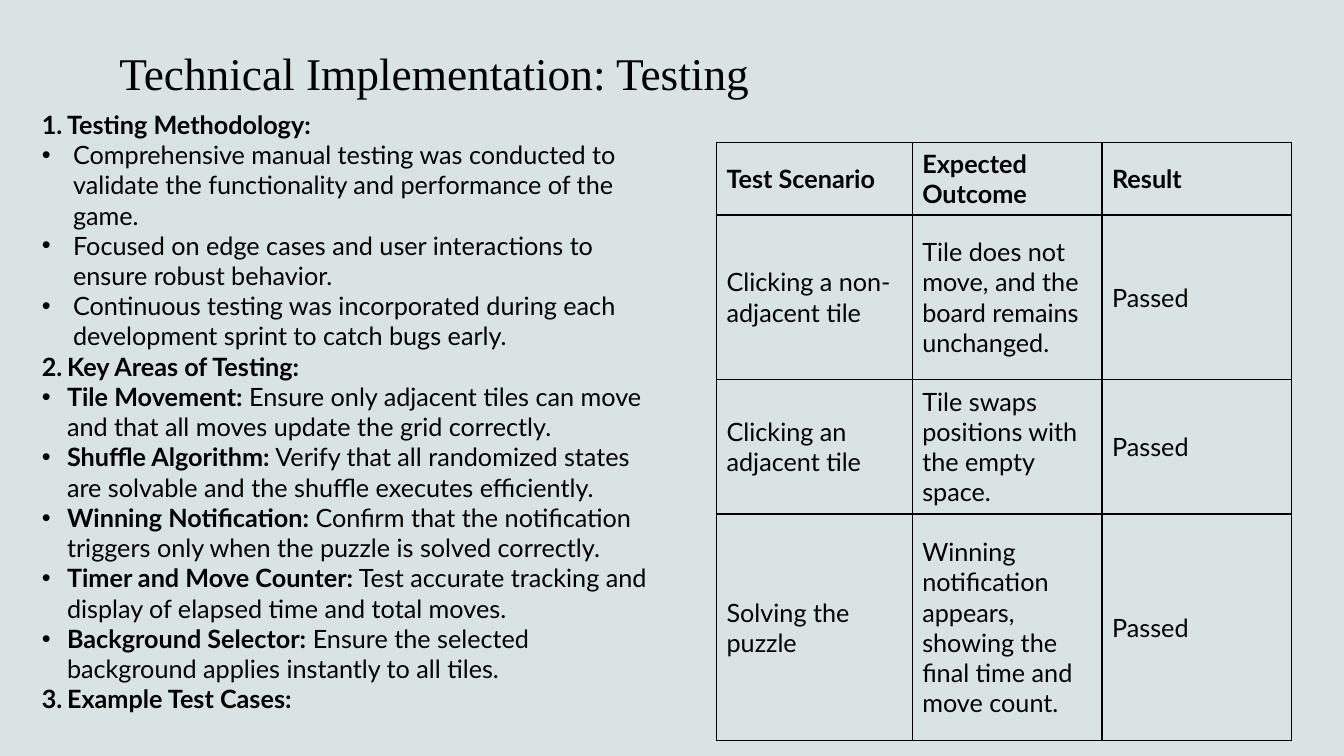
from lxml.etree import SubElement
from pptx import Presentation
from pptx.dml.color import RGBColor
from pptx.enum.text import MSO_ANCHOR as Anchor, MSO_AUTO_SIZE as AutoSize, PP_ALIGN as Align
from pptx.oxml.ns import qn
from pptx.util import Inches, Pt

# Content
TITLE = "Technical Implementation: Testing"
# Each section: heading, bullet indent in inches, (bold lead, plain text) pairs
SECTIONS = [
    ("Testing Methodology:", 0.31, [
        ("", "Comprehensive manual testing was conducted to validate the "
             "functionality and performance of the game."),
        ("", "Focused on edge cases and user interactions to ensure robust behavior."),
        ("", "Continuous testing was incorporated during each development sprint "
             "to catch bugs early."),
    ]),
    ("Key Areas of Testing:", 0.25, [
        ("Tile Movement:", " Ensure only adjacent tiles can move and that all moves "
                           "update the grid correctly."),
        ("Shuffle Algorithm:", " Verify that all randomized states are solvable and "
                               "the shuffle executes efficiently."),
        ("Winning Notification:", " Confirm that the notification triggers only when "
                                  "the puzzle is solved correctly."),
        ("Timer and Move Counter:", " Test accurate tracking and display of elapsed "
                                    "time and total moves."),
        ("Background Selector:", " Ensure the selected background applies instantly "
                                 "to all tiles."),
    ]),
    ("Example Test Cases:", 0.25, []),
]
TEST_CASES = [
    ("Test Scenario", "Expected Outcome", "Result"),
    ("Clicking a non-adjacent tile",
     "Tile does not move, and the board remains unchanged.", "Passed"),
    ("Clicking an adjacent tile",
     "Tile swaps positions with the empty space.", "Passed"),
    ("Solving the puzzle",
     "Winning notification appears, showing the final time and move count.", "Passed"),
]

# Theme
THEME = {
    "background": RGBColor.from_string("DAE3E3"), "ink": RGBColor.from_string("000000"),
    "title_font": "Times New Roman", "body_font": "Lato",
    "title_size": 32.4, "body_size": 18, "border": 1,
}

# Layout on a grid of 16 columns by 9 rows: left, top, width, height
SLIDE_W, SLIDE_H = Inches(13.33), Inches(7.5)
TITLE_BOX = (1.3, -0.23, 13.4, 1.47)
NOTES_BOX = (0.38, 1.24, 7.62, 7.75)
TABLE_AT = (8.53, 1.7)
TABLE_COLS = (2.33, 2.26, 2.26)
TABLE_ROWS = (0.86, 1.96, 1.6, 2.7)
HEADING_INDENT = 0.25


def across(n):
    return int(SLIDE_W * n / 16)


def down(n):
    return int(SLIDE_H * n / 9)


def grid_box(left, top, width, height):
    return across(left), down(top), across(width), down(height)


def add_text(p, text, bold=False, size=THEME["body_size"], font=THEME["body_font"]):
    r = p.add_run()
    r.text = text
    r.font.name, r.font.size, r.font.bold = font, Pt(size), bold
    r.font.color.rgb = THEME["ink"]


def set_marker(p, indent, tag, **attrs):
    pPr = p._p.get_or_add_pPr()
    pPr.set("marL", str(Inches(indent)))
    pPr.set("indent", str(-Inches(indent)))
    SubElement(pPr, qn("a:buFont"), typeface="Arial" if tag == "a:buChar" else "+mj-lt")
    SubElement(pPr, qn(tag), **attrs)


def set_borders(cell):
    tcPr = cell._tc.get_or_add_tcPr()
    for side in "LRTB":
        ln = SubElement(tcPr, qn(f"a:ln{side}"), w=str(Pt(THEME["border"])))
        fill = SubElement(ln, qn("a:solidFill"))
        SubElement(fill, qn("a:srgbClr"), val=str(THEME["ink"]))


prs = Presentation()
prs.slide_width, prs.slide_height = SLIDE_W, SLIDE_H
slide = prs.slides.add_slide(prs.slide_layouts[5])
slide.background.fill.solid()
slide.background.fill.fore_color.rgb = THEME["background"]

# Title
sp = slide.shapes.title
sp.left, sp.top, sp.width, sp.height = grid_box(*TITLE_BOX)
tf = sp.text_frame
tf.auto_size, tf.vertical_anchor = AutoSize.NONE, Anchor.BOTTOM
tf.paragraphs[0].alignment = Align.LEFT
add_text(tf.paragraphs[0], TITLE, size=THEME["title_size"], font=THEME["title_font"])

# Test case table
table = slide.shapes.add_table(
    len(TABLE_ROWS), len(TABLE_COLS),
    *grid_box(*TABLE_AT, sum(TABLE_COLS), sum(TABLE_ROWS))).table
table.horz_banding = False
for column, width in zip(table.columns, TABLE_COLS):
    column.width = across(width)
for row, height, texts in zip(table.rows, TABLE_ROWS, TEST_CASES):
    row.height = down(height)
    for cell, text in zip(row.cells, texts):
        cell.vertical_anchor = Anchor.MIDDLE
        set_borders(cell)
        cell.fill.background()
        add_text(cell.text_frame.paragraphs[0], text, bold=texts is TEST_CASES[0])

# Numbered sections with bullets
tf = slide.shapes.add_textbox(*grid_box(*NOTES_BOX)).text_frame
tf.word_wrap = True
for i, (heading, indent, points) in enumerate(SECTIONS):
    p = tf.add_paragraph() if i else tf.paragraphs[0]
    set_marker(p, HEADING_INDENT, "a:buAutoNum", type="arabicPeriod")
    add_text(p, heading, bold=True)
    for lead, text in points:
        p = tf.add_paragraph()
        p.level = 1
        set_marker(p, indent, "a:buChar", char="•")
        if lead:
            add_text(p, lead, bold=True)
        add_text(p, text)

prs.save("out.pptx")
